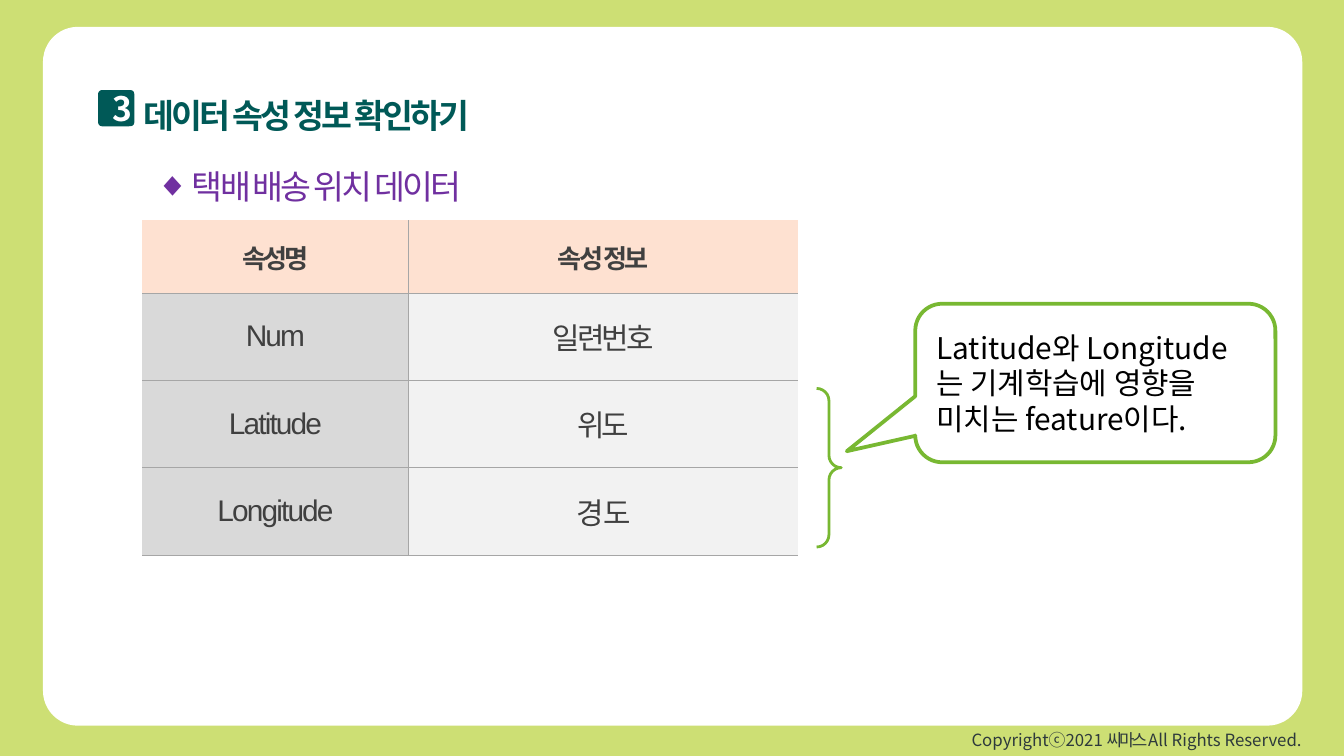
from dataclasses import dataclass

from lxml import etree
from pptx import Presentation
from pptx.dml.color import RGBColor
from pptx.enum.shapes import MSO_SHAPE
from pptx.enum.text import MSO_ANCHOR, PP_ALIGN
from pptx.oxml.ns import qn
from pptx.util import Inches, Pt

LEFT, CENTER, RIGHT = PP_ALIGN.LEFT, PP_ALIGN.CENTER, PP_ALIGN.RIGHT
MIDDLE = MSO_ANCHOR.MIDDLE
ROUND_RECT = MSO_SHAPE.ROUNDED_RECTANGLE
BRACE_PAIR = MSO_SHAPE.DOUBLE_BRACE
CALLOUT = MSO_SHAPE.ROUNDED_RECTANGULAR_CALLOUT

LIME = RGBColor(0xCD, 0xDF, 0x74)
GREEN = RGBColor(0x78, 0xB8, 0x32)
TEAL = RGBColor(0x00, 0x59, 0x57)
PURPLE = RGBColor(0x70, 0x30, 0xA0)
WHITE = RGBColor(0xFF, 0xFF, 0xFF)
BLACK = RGBColor(0x00, 0x00, 0x00)
SLATE = RGBColor(0x2E, 0x3A, 0x3C)
CHARCOAL = RGBColor(0x40, 0x40, 0x40)
PEACH = RGBColor(0xFE, 0xE1, 0xD1)
GRAY = RGBColor(0xD9, 0xD9, 0xD9)
PALE_GRAY = RGBColor(0xF2, 0xF2, 0xF2)
RULE = RGBColor(0xA6, 0xA6, 0xA6)

KOREAN = "Noto Sans CJK KR"
LATIN = "Arial"


@dataclass(frozen=True)
class Style:
    size: float
    color: RGBColor
    bold: bool = False
    font: str = KOREAN
    align: PP_ALIGN = LEFT
    leading: float | None = None
    bullet_indent: float = 0


@dataclass(frozen=True)
class Entry:
    text: str
    spacing: float = 0


FOOTER = Style(9, SLATE, align=RIGHT)
TITLE = Style(18, TEAL, bold=True, leading=27)
NUMBER = Style(18, WHITE, bold=True, align=CENTER)
SUBTITLE = Style(18, PURPLE, leading=27, bullet_indent=0.27)
NOTE = Style(16, BLACK)
HEADER = Style(14, CHARCOAL, bold=True, font=LATIN, align=CENTER)
BODY = Style(16, CHARCOAL, font=LATIN, align=CENTER)

COLUMN_WIDTHS = (1.98, 2.9)
ROW_HEIGHTS = (0.54, 0.65, 0.65, 0.65)
ROWS = (
    (Entry("속성명", -1.5), Entry("속성 정보", -1.5)),
    (Entry("Num", -1), Entry("일련번호", -1.5)),
    (Entry("Latitude", -1), Entry("위도", -1.5)),
    (Entry("Longitude", -1), Entry("경도")),
)


def add_diamond_bullet(p, indent: float, color: RGBColor) -> None:
    props = p._p.get_or_add_pPr()
    props.set("marL", str(Inches(indent)))
    props.set("indent", str(-Inches(indent)))
    bullet_color = etree.SubElement(props, qn("a:buClr"))
    etree.SubElement(bullet_color, qn("a:srgbClr"), val=str(color))
    etree.SubElement(props, qn("a:buFont"), typeface=LATIN)
    etree.SubElement(props, qn("a:buChar"), char="◆")


def write(tf, style: Style, *entries: Entry) -> None:
    """Fill the first paragraph with one run per entry; newlines become breaks."""
    p = tf.paragraphs[0]
    p.alignment = style.align
    if style.leading:
        p.line_spacing = Pt(style.leading)
    if style.bullet_indent:
        add_diamond_bullet(p, style.bullet_indent, style.color)
    p.font.size = Pt(style.size)
    p.font.bold = style.bold
    p.font.name = style.font
    p.font.color.rgb = style.color
    for entry in entries:
        for i, line in enumerate(entry.text.split("\n")):
            if i:
                p.add_line_break()
            r = p.add_run()
            r.text = line
            props = r._r.get_or_add_rPr()
            props.set("spc", str(round(entry.spacing * 100)))
            etree.SubElement(props, qn("a:ea"), typeface=KOREAN)


def add_text(slide, box: tuple, style: Style, *entries: Entry) -> None:
    tf = slide.shapes.add_textbox(*map(Inches, box)).text_frame
    tf.word_wrap = True
    write(tf, style, *entries)


def add_block(slide, kind: MSO_SHAPE, box: tuple, fill: RGBColor | None = None,
              line_width: float = 0, adjustments: tuple = ()):
    sp = slide.shapes.add_shape(kind, *map(Inches, box))
    sp.shadow.inherit = False
    for i, value in enumerate(adjustments):
        sp.adjustments[i] = value
    if fill is None:
        sp.fill.background()
    else:
        sp.fill.solid()
        sp.fill.fore_color.rgb = fill
    if line_width:
        sp.line.color.rgb = GREEN
        sp.line.width = Pt(line_width)
    else:
        sp.line.fill.background()
    return sp


def set_borders(cell, sides: str) -> None:
    """Rule the named sides (letters of LRTB) and clear the others."""
    props = cell._tc.get_or_add_tcPr()
    for side in "LRTB":
        ln = etree.SubElement(props, qn(f"a:ln{side}"), w=str(Pt(0.25)))
        if side in sides:
            fill = etree.SubElement(ln, qn("a:solidFill"))
            etree.SubElement(fill, qn("a:srgbClr"), val=str(RULE))
        else:
            etree.SubElement(ln, qn("a:noFill"))


def add_attribute_table(slide, left: float, top: float) -> None:
    box = (left, top, sum(COLUMN_WIDTHS), sum(ROW_HEIGHTS))
    table = slide.shapes.add_table(
        len(ROWS), len(COLUMN_WIDTHS), *map(Inches, box)).table
    for column, width in zip(table.columns, COLUMN_WIDTHS):
        column.width = Inches(width)
    for i, (entries, height) in enumerate(zip(ROWS, ROW_HEIGHTS)):
        table.rows[i].height = Inches(height)
        for j, entry in enumerate(entries):
            cell = table.cell(i, j)
            cell.vertical_anchor = MIDDLE
            set_borders(cell, "RL"[j] + ("TB" if i else "B"))
            cell.fill.solid()
            cell.fill.fore_color.rgb = (GRAY, PALE_GRAY)[j] if i else PEACH
            write(cell.text_frame, BODY if i else HEADER, entry)


def main() -> None:
    prs = Presentation()
    prs.slide_width = Inches(10)
    prs.slide_height = prs.slide_width * 9 // 16
    s = prs.slides.add_slide(prs.slide_layouts[6])
    s.background.fill.solid()
    s.background.fill.fore_color.rgb = LIME

    add_text(s, (5.83, 5.38, 3.98, 0.25), FOOTER, Entry("Copyrightⓒ2021 "),
             Entry("씨마스 ", -1.5), Entry("All Rights Reserved. "))
    add_block(s, ROUND_RECT, (0.32, 0.2, 9.37, 5.2), WHITE, adjustments=(0.05,))
    add_block(s, BRACE_PAIR, (5.16, 2.89, 1.1, 1.18), line_width=1.5)

    add_text(s, (0.97, 0.58, 4.56, 0.44), TITLE,
             Entry("데이터 속성 정보 확인하기", -1.5))
    badge = add_block(s, ROUND_RECT, (0.73, 0.67, 0.27, 0.27), TEAL,
                      adjustments=(0.11,))
    write(badge.text_frame, NUMBER, Entry("3"))
    add_text(s, (1.06, 1.11, 5.74, 0.44), SUBTITLE,
             Entry("택배 배송 위치 데이터", -1.5))

    add_attribute_table(s, 1.06, 1.64)

    note = add_block(s, CALLOUT, (6.81, 2.26, 2.68, 1.18), WHITE, 2,
                     (-0.69, 0.43, 0.17))
    note.text_frame.vertical_anchor = MIDDLE
    write(note.text_frame, NOTE,
          Entry("Latitude와 Longitude는 기계학습에 영향을 \n미치는 feature이다."))

    prs.save("out.pptx")


if __name__ == "__main__":
    main()
